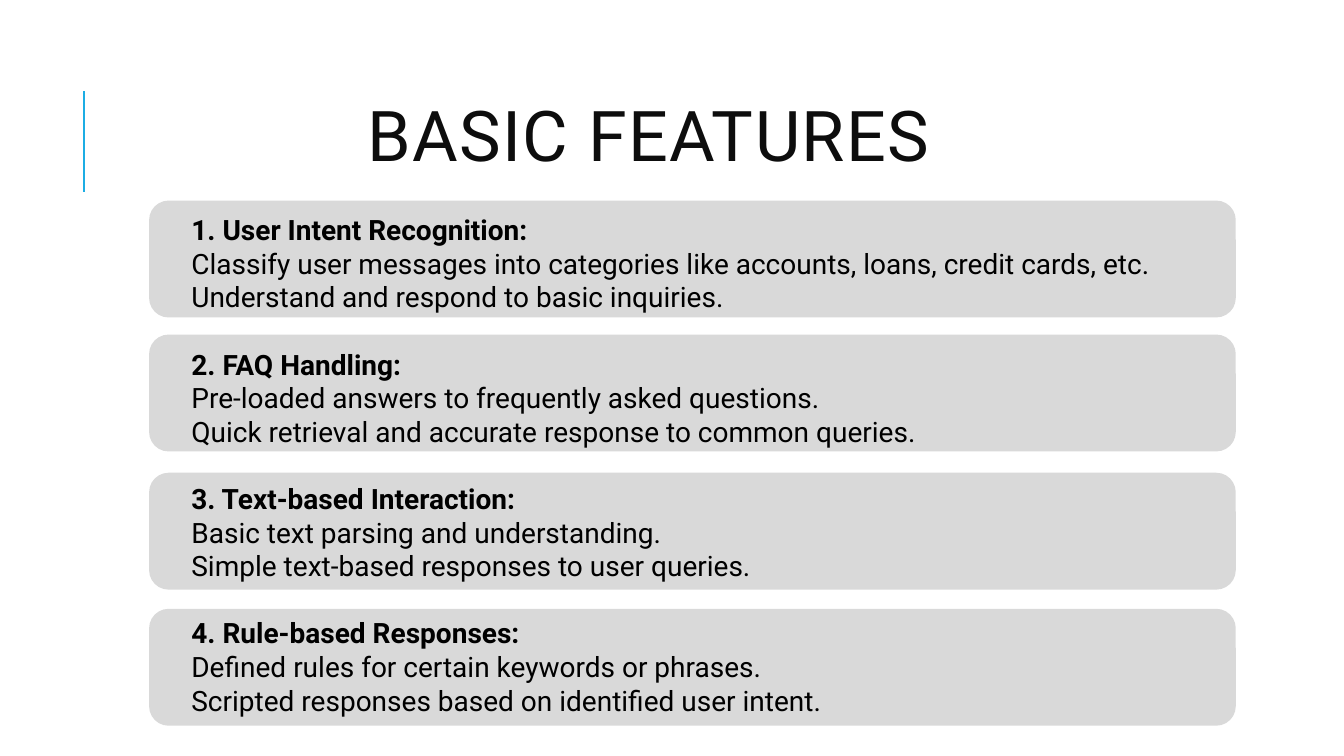
from dataclasses import dataclass

from lxml import etree
from pptx import Presentation
from pptx.dml.color import RGBColor
from pptx.enum.shapes import MSO_CONNECTOR, MSO_SHAPE
from pptx.enum.text import MSO_ANCHOR, PP_ALIGN
from pptx.oxml.ns import qn
from pptx.util import Pt

LINE = MSO_CONNECTOR.STRAIGHT
ROUND = MSO_SHAPE.ROUNDED_RECTANGLE
MIDDLE = MSO_ANCHOR.MIDDLE
CENTER = PP_ALIGN.CENTER


@dataclass(frozen=True)
class Theme:
    font: str = "Roboto"
    accent: RGBColor = RGBColor(0x1C, 0xAD, 0xE4)
    card: RGBColor = RGBColor(0xD9, 0xD9, 0xD9)
    title: RGBColor = RGBColor(0x0D, 0x0D, 0x0D)
    body: RGBColor = RGBColor(0, 0, 0)
    title_size: int = 50
    body_size: int = 20


THEME = Theme()
CARD_TOPS = (143.3, 239, 337.7, 434.9)
FEATURES = (
    ("1. User Intent Recognition:",
     "Classify user messages into categories like accounts, loans, credit cards, etc.",
     "Understand and respond to basic inquiries."),
    ("2. FAQ Handling:",
     "Pre-loaded answers to frequently asked questions.",
     "Quick retrieval and accurate response to common queries."),
    ("3. Text-based Interaction:",
     "Basic text parsing and understanding.",
     "Simple text-based responses to user queries."),
    ("4. Rule-based Responses:",
     "Defined rules for certain keywords or phrases.",
     "Scripted responses based on identified user intent."),
)


def style(run, size, color, bold=False):
    font = run.font
    font.name = THEME.font
    font.size = Pt(size)
    font.bold = bold
    font.color.rgb = color


def add_box(slide, left, top, width, height):
    box = slide.shapes.add_textbox(Pt(left), Pt(top), Pt(width), Pt(height))
    box.text_frame.word_wrap = True
    return box.text_frame


def add_accent(slide):
    line = slide.shapes.add_connector(LINE, Pt(60), Pt(136.8), Pt(60), Pt(64.8))
    line.line.color.rgb = THEME.accent
    line.line.width = Pt(1.5)
    etree.SubElement(line._element.spPr, qn("a:effectLst"))


def add_card(slide, top):
    card = slide.shapes.add_shape(ROUND, Pt(106.5), Pt(top), Pt(776.2), Pt(83.5))
    card.shadow.inherit = False
    card.fill.solid()
    card.fill.fore_color.rgb = THEME.card
    card.line.fill.background()


def add_title(slide, text):
    frame = add_box(slide, 80.6, 61.9, 765.4, 77.8)
    frame.vertical_anchor = MIDDLE
    frame.text = text
    para = frame.paragraphs[0]
    para.alignment = CENTER
    para.line_spacing = 0.8
    run = para.runs[0]
    style(run, THEME.title_size, THEME.title)
    run.font._element.set("spc", "100")


def add_features(slide):
    """Fill one text box, a line's height apart between features."""
    frame = add_box(slide, 129.6, 148.3, 738, 390)
    frame.text = "\n".join(line for lines in FEATURES for line in lines)
    heads = {lines[0] for lines in FEATURES}
    for index, para in enumerate(frame.paragraphs):
        head = para.text in heads
        if head and index:
            para.space_before = Pt(24)
        style(para.runs[0], THEME.body_size, THEME.body, head)


def main():
    deck = Presentation()
    deck.slide_width, deck.slide_height = Pt(960), Pt(540)
    slide = deck.slides.add_slide(deck.slide_layouts[6])
    add_accent(slide)
    for top in CARD_TOPS:
        add_card(slide, top)
    add_title(slide, "BASIC FEATURES")
    add_features(slide)
    deck.save("out.pptx")


if __name__ == "__main__":
    main()
